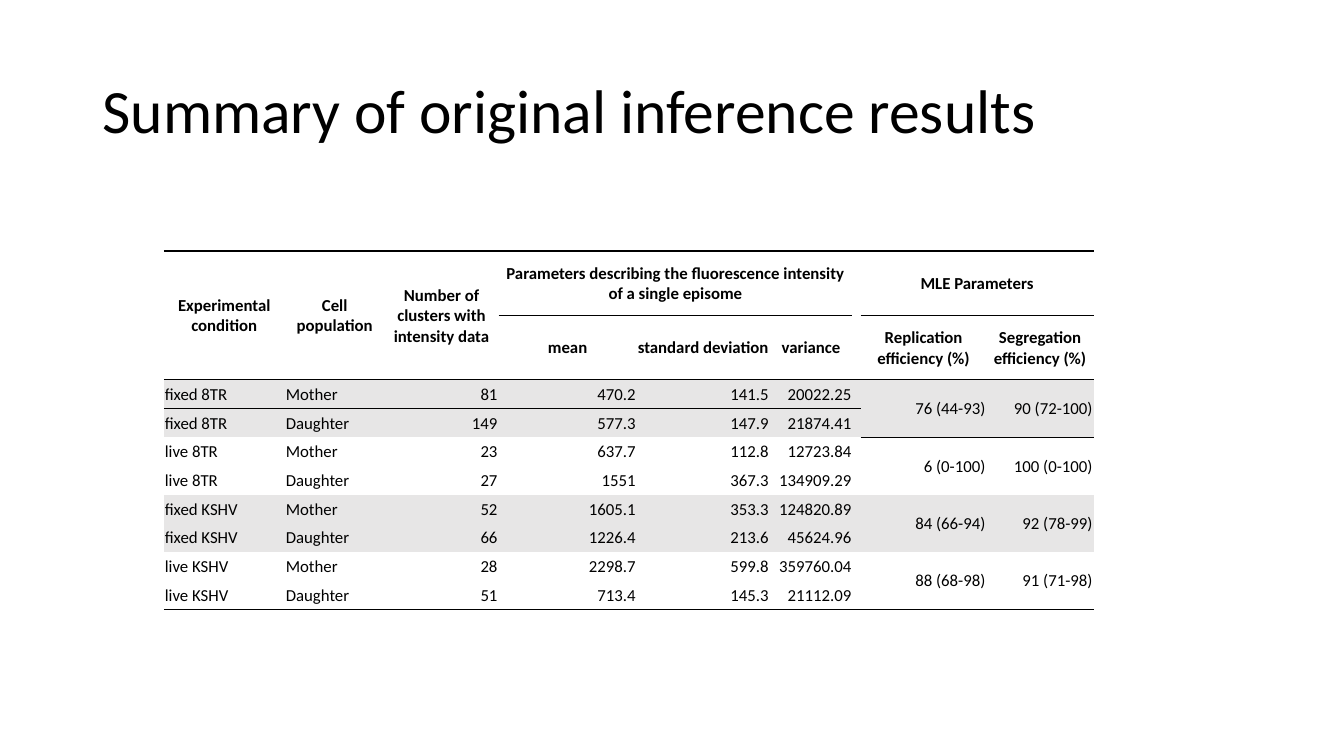
"""Build a slide with a table of inference results."""
from lxml import etree
from pptx import Presentation
from pptx.dml.color import RGBColor
from pptx.enum.text import MSO_ANCHOR, PP_ALIGN
from pptx.oxml.ns import qn
from pptx.util import Pt

BLACK = RGBColor(0x00, 0x00, 0x00)
GREY = RGBColor(0xE7, 0xE6, 0xE6)
FONT = "Calibri"
NO_STYLE = "{2D5ABB26-0587-4C30-8999-92F81FD0307C}"
MIDDLE = MSO_ANCHOR.MIDDLE
LEFT, CENTER, RIGHT = PP_ALIGN.LEFT, PP_ALIGN.CENTER, PP_ALIGN.RIGHT

WIDTHS = [86.4, 71.3, 81.4, 98.7, 95.1, 59.1, 5.8, 90, 76.5]
HEIGHTS = [46] * 2 + [20.5] * 8
HEADERS = [
    ["Experimental condition", "Cell population",
     "Number of clusters with intensity data",
     "Parameters describing the fluorescence intensity of a single episome",
     "", "", "", "MLE Parameters", ""],
    ["", "", "", "mean", "standard deviation", "variance", "",
     "Replication efficiency (%)", "Segregation efficiency (%)"],
]
RESULTS = [
    ["fixed 8TR", "Mother", "81", "470.2", "141.5", "20022.25", "", "76 (44-93)", "90 (72-100)"],
    ["fixed 8TR", "Daughter", "149", "577.3", "147.9", "21874.41", "", "", ""],
    ["live 8TR", "Mother", "23", "637.7", "112.8", "12723.84", "", "6 (0-100)", "100 (0-100)"],
    ["live 8TR", "Daughter", "27", "1551", "367.3", "134909.29", "", "", ""],
    ["fixed KSHV", "Mother", "52", "1605.1", "353.3", "124820.89", "", "84 (66-94)", "92 (78-99)"],
    ["fixed KSHV", "Daughter", "66", "1226.4", "213.6", "45624.96", "", "", ""],
    ["live KSHV", "Mother", "28", "2298.7", "599.8", "359760.04", "", "88 (68-98)", "91 (71-98)"],
    ["live KSHV", "Daughter", "51", "713.4", "145.3", "21112.09", "", "", ""],
]
MERGES = [(0, col, 1, col) for col in range(3)] + [(0, 3, 0, 5), (0, 7, 0, 8)]
MERGES += [(row, col, row + 1, col) for row in range(2, 10, 2) for col in (7, 8)]
RULED_BELOW = {0: [0, 1, 2, 3, 4, 5, 7, 8], 1: range(9), 2: range(9), 8: [7, 8], 9: range(9)}


def add_run(p, text, size, bold=False):
    r = p.add_run()
    r.text = text
    r.font.name = FONT
    r.font.size = Pt(size)
    r.font.bold = bold
    r.font.color.rgb = BLACK


def add_border(cell, side):
    ln = etree.Element(qn("a:" + side), w=str(Pt(1)))
    fill = etree.SubElement(ln, qn("a:solidFill"))
    etree.SubElement(fill, qn("a:srgbClr"), val=str(BLACK))
    cell._tc.get_or_add_tcPr().insert(0, ln)


prs = Presentation()
prs.slide_width, prs.slide_height = Pt(960), Pt(540)
s = prs.slides.add_slide(prs.slide_layouts[5])

title = s.shapes.title
title.left, title.top, title.width, title.height = Pt(66), Pt(28.75), Pt(828), Pt(104.4)
tf = title.text_frame
tf.word_wrap = True
tf.vertical_anchor = MIDDLE
p = tf.paragraphs[0]
p.alignment = LEFT
p.line_spacing = 0.9
add_run(p, "Summary of original inference results", 44)

rows = HEADERS + RESULTS
frame = s.shapes.add_table(len(rows), len(WIDTHS), Pt(117), Pt(179.3),
                           Pt(sum(WIDTHS)), Pt(sum(HEIGHTS)))
table = frame.table
table.first_row = table.horz_banding = False
table._tbl.tblPr.find(qn("a:tableStyleId")).text = NO_STYLE
for column, width in zip(table.columns, WIDTHS):
    column.width = Pt(width)
for table_row, height in zip(table.rows, HEIGHTS):
    table_row.height = Pt(height)

for top, left, bottom, right in MERGES:
    table.cell(top, left).merge(table.cell(bottom, right))

for row, texts in enumerate(rows):
    is_header = row < len(HEADERS)
    for col, text in enumerate(texts):
        cell = table.cell(row, col)
        cell.margin_left = cell.margin_right = cell.margin_top = Pt(0.75)
        cell.margin_bottom = Pt(0)
        cell.vertical_anchor = MIDDLE
        if row in (2, 3, 6, 7):
            cell.fill.solid()
            cell.fill.fore_color.rgb = GREY
        else:
            cell.fill.background()
        p = cell.text_frame.paragraphs[0]
        p.alignment = CENTER if is_header else LEFT if col < 2 else RIGHT
        if text:
            add_run(p, text, 12, is_header)
        else:
            etree.SubElement(p._p, qn("a:endParaRPr"), sz="1200")
        if col in RULED_BELOW.get(row, []):
            add_border(cell, "lnB")
        if row == 0:
            add_border(cell, "lnT")

prs.save("out.pptx")
